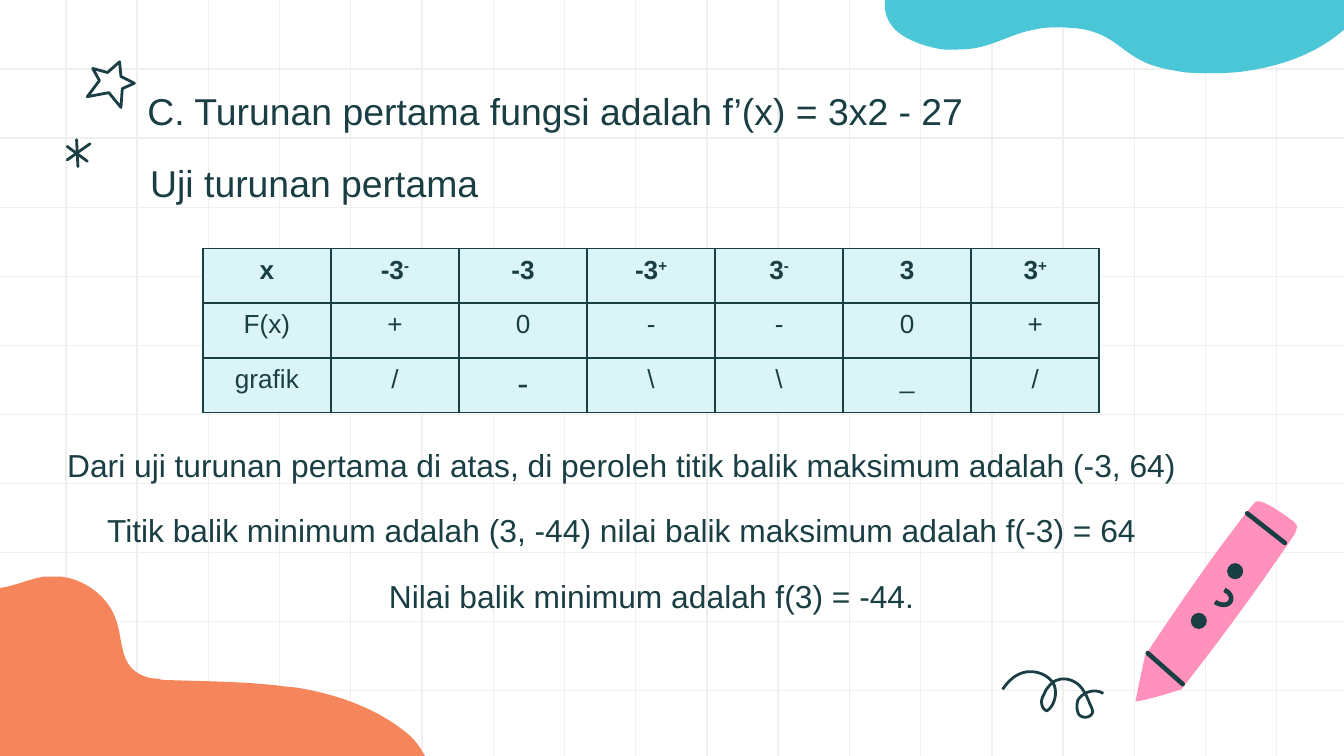
from collections import namedtuple

from lxml import etree
from pptx import Presentation
from pptx.dml.color import RGBColor
from pptx.enum import shapes, text
from pptx.oxml import ns
from pptx.util import Inches, Pt

INK = RGBColor(0x19, 0x3E, 0x43)
GRID = RGBColor(0xEF, 0xEF, 0xEF)
PINK = RGBColor(0xFF, 0x91, 0xBC)
CYAN = RGBColor(0x4B, 0xC6, 0xD6)
ORANGE = RGBColor(0xF5, 0x86, 0x5B)
PALE = RGBColor(0xDB, 0xF4, 0xF7)
WHITE = RGBColor(0xFF, 0xFF, 0xFF)
FONT = "Arial"

Box = namedtuple("Box", "left top width height")

# Outlines: a start point, then two handles and an end point for each curve,
# in inches from the corner of the box
CRAYON = [
    (.92, 0), (.91, 0), (.9, 0), (.9, 0), (.87, .01), (.67, .29), (.6, .38),
    (.42, .63), (.24, .89), (.07, 1.15), (.07, 1.15), (0, 1.47), (0, 1.49),
    (.09, 1.48), (.34, 1.4), (.34, 1.4), (.63, 1.03), (.91, .65), (1.18, .25),
    (1.19, .23), (1.2, .21), (1.2, .18), (1.19, .17), (1.18, .15), (1.16, .14),
    (1.07, .07), (.97, .01), (.92, 0)]
SMILE = [(.66, .66), (.7, .68), (.71, .7), (.71, .73), (.7, .78), (.64, .78), (.59, .75)]
SQUIGGLE = [
    (0, .13), (.04, .07), (.1, .01), (.18, 0), (.25, -.01), (.34, .02), (.38, .09),
    (.41, .15), (.39, .25), (.33, .29), (.3, .28), (.29, .25), (.29, .22),
    (.29, .19), (.31, .17), (.32, .14), (.34, .11), (.37, .07), (.41, .06),
    (.46, .04), (.53, .06), (.57, .1), (.61, .14), (.63, .19), (.65, .24),
    (.66, .26), (.67, .28), (.67, .3), (.66, .34), (.6, .35), (.57, .32),
    (.55, .29), (.55, .25), (.56, .21), (.6, .15), (.68, .12), (.75, .16)]
CYAN_BLOB = [
    (3.72, -.07), (3.16, .01), (2.57, .01), (1.99, 0), (1.33, 0), (.68, 0), (.02, 0),
    (0, .11), (-.02, .22), (.08, .32), (.15, .39), (.29, .45), (.45, .47),
    (.52, .47), (.6, .47), (.67, .46), (.84, .43), (.95, .35), (1.12, .32),
    (1.21, .3), (1.31, .3), (1.4, .31), (1.45, .31), (1.49, .32), (1.53, .33),
    (1.71, .38), (1.77, .48), (1.91, .55), (2, .6), (2.12, .62), (2.24, .64),
    (2.41, .65), (2.59, .65), (2.75, .62), (3.04, .57), (3.26, .46), (3.41, .33),
    (3.55, .21), (3.63, .08), (3.69, -.06)]
ORANGE_BLOB = [
    (1.09, .01), (1.01, 0), (.93, .01), (.86, .04), (.72, .09), (.61, .24), (.64, .39),
    (.65, .48), (.7, .58), (.66, .66), (.63, .74), (.53, .75), (.44, .74),
    (.38, .73), (.32, .72), (.28, .72), (.23, .71), (.19, .71), (.14, .73),
    (.02, .79), (0, .97), (.07, 1.09), (.14, 1.21), (.27, 1.27), (.4, 1.33),
    (1.39, 1.75), (2.47, 1.91), (3.55, 2.03), (3.75, 2.05), (3.96, 2.07), (4.16, 2.09),
    (4.31, 2.1), (4.46, 2.12), (4.6, 2.09), (4.74, 2.06), (4.89, 1.97), (4.95, 1.84),
    (5.03, 1.66), (4.92, 1.42), (4.77, 1.31), (4.54, 1.13), (4.27, 1.04), (3.99, .99),
    (3.93, .98), (3.87, .98), (3.82, .97), (3.55, .94), (3.27, .94), (3, .93),
    (2.98, .93), (2.96, .93), (2.94, .92), (2.87, .92), (2.81, .9), (2.76, .86),
    (2.66, .78), (2.67, .63), (2.63, .5), (2.58, .32), (2.4, .18), (2.21, .16),
    (2.17, .16), (2.13, .16), (2.09, .16), (1.96, .18), (1.84, .25), (1.69, .25),
    (1.55, .23), (1.43, .14), (1.3, .08), (1.23, .04), (1.16, .02), (1.09, .01)]
STAR = [(.36, .18), (.27, .22), (.26, .36), (.17, .25), (.01, .28),
        (.1, .16), (.05, .07), (.16, .1), (.25, .02), (.26, .13)]

HEADINGS = ["C. Turunan pertama fungsi adalah f’(x) = 3x2 - 27", "Uji turunan pertama"]
# Each heading cell is a number and its raised sign
SIGN_HEAD = [("x", ""), ("-3", "-"), ("-3", ""), ("-3", "+"), ("3", "-"), ("3", ""), ("3", "+")]
SIGN_ROWS = [["F(x)", "+", "0", "-", "-", "0", "+"],
             ["grafik", "/", "-", "\\", "\\", "_", "/"]]
CONCLUSIONS = [
    ("Dari uji turunan pertama di atas, di peroleh titik balik maksimum adalah (-3, 64)", 0, 8.76),
    ("Titik balik minimum adalah (3, -44) nilai balik maksimum adalah f(-3) = 64", 0, 8.76),
    ("Nilai balik minimum adalah f(3) = -44.", .54, 8.12)]


def curve_points(outline, steps=10):
    """Sample a chain of cubic curves."""
    points = [outline[0]]
    for i in range(0, len(outline) - 1, 3):
        a, b, c, d = outline[i:i + 4]
        for t in (step / steps for step in range(1, steps + 1)):
            s = 1 - t
            points.append(tuple(s**3 * a[k] + 3 * s * s * t * b[k] + 3 * s * t * t * c[k] + t**3 * d[k]
                                for k in (0, 1)))
    return points


def add_outline(page, box, points, fill=None, width=1.5):
    """Draw a filled outline, or an ink stroke when no fill is given."""
    places = [(Inches(box.left + x), Inches(box.top + y)) for x, y in points]
    builder = page.shapes.build_freeform(*places[0])
    builder.add_line_segments(places[1:], close=fill is not None)
    shape = builder.convert_to_shape()
    shape.shadow.inherit = False
    if fill is None:
        shape.fill.background()
        shape.line.color.rgb = INK
        shape.line.width = Pt(width)
    else:
        shape.fill.solid()
        shape.fill.fore_color.rgb = fill
        shape.line.fill.background()


def add_line(page, box, start, end, color=INK, width=1.5):
    line = page.shapes.add_connector(
        shapes.MSO_CONNECTOR.STRAIGHT, Inches(box.left + start[0]), Inches(box.top + start[1]),
        Inches(box.left + end[0]), Inches(box.top + end[1]))
    line.line.color.rgb = color
    line.line.width = Pt(width)
    line.line._get_or_add_ln().set("cap", "rnd")
    etree.SubElement(line.element.spPr, ns.qn("a:effectLst"))


def add_span(para, wording, size, bold=False):
    span = para.add_run()
    span.text = wording
    span.font.name, span.font.size, span.font.bold = FONT, Pt(size), bold
    span.font.color.rgb = INK
    return span


def fill_text(shape, box, wording, size):
    shape.left, shape.top, shape.width, shape.height = map(Inches, box)
    frame = shape.text_frame
    frame.word_wrap = True
    frame.auto_size = text.MSO_AUTO_SIZE.NONE
    frame.vertical_anchor = text.MSO_ANCHOR.MIDDLE
    frame.margin_left = frame.margin_right = frame.margin_top = frame.margin_bottom = Inches(.1)
    para = frame.paragraphs[0]
    para.alignment = text.PP_ALIGN.CENTER
    add_span(para, wording, size)


def draw_grid(page, box):
    for i in range(18):
        x = .49 + .53 * i
        add_line(page, box, (x, 0), (x, box.height), GRID, .75)
    for i in range(1, 11):
        y = 5.14 / 10 * i
        add_line(page, box, (0, y), (box.width, y), GRID, .75)


def draw_crayon(page, box):
    add_outline(page, box, curve_points(CRAYON), PINK)
    for start, end in [((.83, .09), (1.11, .31)), ((.09, 1.13), (.35, 1.36))]:
        add_line(page, box, start, end, width=2.5)
    for x, y in [(.41, .83), (.68, .46)]:
        eye = page.shapes.add_shape(shapes.MSO_SHAPE.OVAL, Inches(box.left + x),
                                    Inches(box.top + y), Inches(.12), Inches(.12))
        eye.shadow.inherit = False
        eye.fill.solid()
        eye.fill.fore_color.rgb = INK
        eye.line.fill.background()
    add_outline(page, box, curve_points(SMILE), width=2.5)


def draw_asterisk(page, box):
    for start, end in [((0, .05), (.15, .16)), ((0, .15), (.17, .03)), ((.07, 0), (.08, .2))]:
        add_line(page, box, start, end)


def write_headings(page, box):
    title = page.shapes.title
    title.element.getparent().append(title.element)  # in front of the grid
    fill_text(title, Box(box.left, box.top, box.width, .54), HEADINGS[0], 20)
    second = Box(box.left, box.top + .54, 4.18, .54)
    fill_text(page.shapes.add_textbox(0, 0, 0, 0), second, HEADINGS[1], 20)


def style_cell(cell):
    cell.fill.solid()
    cell.fill.fore_color.rgb = PALE
    properties = cell._tc.get_or_add_tcPr()
    for i, side in enumerate(("lnL", "lnR", "lnT", "lnB")):
        border = etree.Element(ns.qn("a:" + side), w=str(Pt(1)))
        solid = etree.SubElement(border, ns.qn("a:solidFill"))
        etree.SubElement(solid, ns.qn("a:srgbClr"), val=str(INK))
        properties.insert(i, border)
    cell.text_frame.paragraphs[0].alignment = text.PP_ALIGN.CENTER


def draw_sign_table(page, box):
    table = page.shapes.add_table(3, 7, *map(Inches, box)).table
    for cell in table.iter_cells():
        style_cell(cell)
    for column, (number, sign) in enumerate(SIGN_HEAD):
        para = table.cell(0, column).text_frame.paragraphs[0]
        add_span(para, number, 14, True)
        if sign:
            add_span(para, sign, 14, True).font._element.set("baseline", "30000")
    for row, values in enumerate(SIGN_ROWS, 1):
        for column, value in enumerate(values):
            size = 18 if (row, column) == (2, 2) else 14
            add_span(table.cell(row, column).text_frame.paragraphs[0], value, size)


def write_conclusions(page, box):
    for i, (wording, indent, width) in enumerate(CONCLUSIONS):
        place = Box(box.left + indent, box.top + .49 * i, width, .49)
        fill_text(page.shapes.add_textbox(0, 0, 0, 0), place, wording, 17)


def main():
    deck = Presentation()
    deck.slide_width = Inches(10)
    deck.slide_height = deck.slide_width * 9 // 16
    page = deck.slides.add_slide(deck.slide_layouts[5])
    page.background.fill.solid()
    page.background.fill.fore_color.rgb = WHITE
    # Backdrop and doodles
    draw_grid(page, Box(0, 0, 10, deck.slide_height / Inches(1)))
    draw_crayon(page, Box(8.45, 3.73, 1.2, 1.49))
    add_outline(page, Box(7.46, 5, .75, .34), curve_points(SQUIGGLE))
    draw_asterisk(page, Box(.5, 1.04, .17, .2))
    add_outline(page, Box(.64, .44, .37, .38), STAR + STAR[:1])
    add_outline(page, Box(6.58, -.1, 3.72, .64), curve_points(CYAN_BLOB), CYAN)
    add_outline(page, Box(-1.76, 4.13, 5, 2.1), curve_points(ORANGE_BLOB), ORANGE)
    # Content
    write_headings(page, Box(.25, .55, 7.77, 1.08))
    draw_sign_table(page, Box(1.51, 1.85, 6.67, 1.22))
    write_conclusions(page, Box(.25, 3.21, 8.76, 1.47))
    deck.save("out.pptx")


if __name__ == "__main__":
    main()
